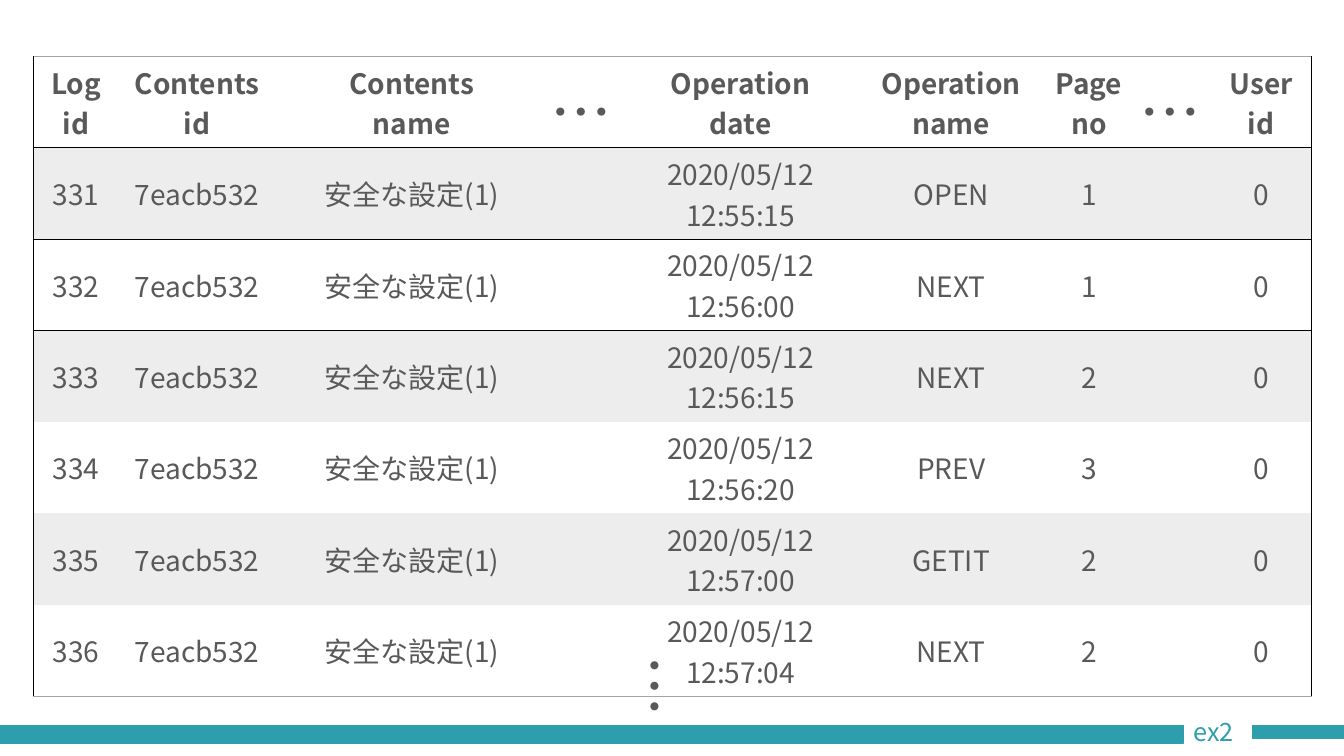
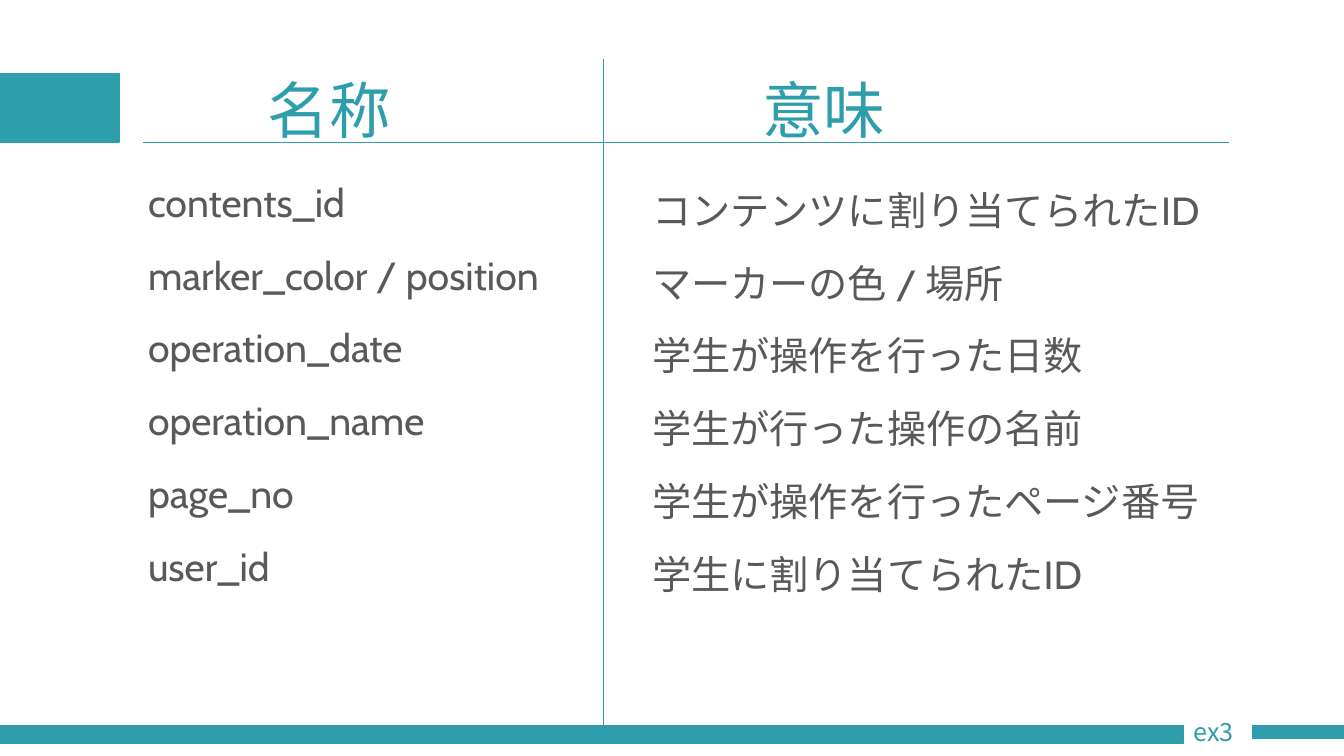
from lxml import etree
from pptx import Presentation
from pptx.dml.color import RGBColor
from pptx.enum.shapes import MSO_CONNECTOR, MSO_SHAPE
from pptx.enum.text import MSO_ANCHOR, MSO_AUTO_SIZE, PP_ALIGN
from pptx.oxml.ns import qn
from pptx.util import Pt

PX = 9144
BLANK_LAYOUT = 6
RECTANGLE = MSO_SHAPE.RECTANGLE
STRAIGHT = MSO_CONNECTOR.STRAIGHT
TOP, MIDDLE = MSO_ANCHOR.TOP, MSO_ANCHOR.MIDDLE
LEFT, CENTER = PP_ALIGN.LEFT, PP_ALIGN.CENTER
GROW, FIXED = MSO_AUTO_SIZE.SHAPE_TO_FIT_TEXT, MSO_AUTO_SIZE.NONE
NO_GRID_STYLE = "{2D5ABB26-0587-4C30-8999-92F81FD0307C}"

COLORS = {
    "accent": "2E9EAC",
    "text": "595959",
    "rule": "000000",
    "edge": "A5A5A5",
    "band": "EDEDED",
}
JAPANESE = "Noto Sans CJK JP"
LATIN = "Cabin"

SLIDE_BOX = (0, 0, 1333, 750)
LOG_BOX = (33, 56, 1268, 630)
LOG_COLUMNS = [85, 155, 271, 71, 239, 179, 94, 74, 100]
LOG_HEADER = ["Log\nid", "Contents\nid", "Contents\nname", "", "Operation\ndate",
              "Operation\nname", "Page\nno", "", "User\nid"]
LOG_EVENTS = [
    ("331", "12:55:15", "OPEN", "1"),
    ("332", "12:56:00", "NEXT", "1"),
    ("333", "12:56:15", "NEXT", "2"),
    ("334", "12:56:20", "PREV", "3"),
    ("335", "12:57:00", "GETIT", "2"),
    ("336", "12:57:04", "NEXT", "2"),
]
ELLIPSES = [((536, 68, 73, 85), 0), ((1120, 68, 87, 84), 0), ((607, 642, 87, 84), 90)]

FIELDS = [
    ("contents_id", "コンテンツに割り当てられたID"),
    ("marker_color / position", "マーカーの色 / 場所"),
    ("operation_date", "学生が操作を行った日数"),
    ("operation_name", "学生が行った操作の名前"),
    ("page_no", "学生が操作を行ったページ番号"),
    ("user_id", "学生に割り当てられたID"),
]


def px(*lengths):
    """Turn px lengths into EMU."""
    return [length * PX for length in lengths]


def rgb(name):
    """Look up a palette colour."""
    return RGBColor.from_string(COLORS[name])


def write(frame, text, size=20, font=JAPANESE, color="text", bold=False,
          align=LEFT, line_spacing=None, space_before=None):
    """Write one formatted paragraph for each line of text."""
    for index, line in enumerate(text.split("\n")):
        paragraph = frame.add_paragraph() if index else frame.paragraphs[0]
        paragraph.alignment = align
        paragraph.line_spacing = line_spacing
        if space_before is not None:
            paragraph.space_before = Pt(space_before)
        run = paragraph.add_run()
        run.text = line
        run.font.size = Pt(size)
        run.font.bold = bold
        run.font.name = font
        run.font.color.rgb = rgb(color)
        east_asian = etree.SubElement(run.font._element, qn("a:ea"))
        east_asian.set("typeface", font)


def add_label(slide, box, text, rotation=0, anchor=TOP, fit=FIXED, **text_format):
    """Place a wrapped text box."""
    label = slide.shapes.add_textbox(*px(*box))
    label.rotation = rotation
    frame = label.text_frame
    frame.word_wrap = True
    frame.vertical_anchor = anchor
    frame.auto_size = fit
    write(frame, text, **text_format)


def add_bar(slide, box):
    """Place a solid accent bar."""
    bar = slide.shapes.add_shape(RECTANGLE, *px(*box))
    bar.shadow.inherit = False
    bar.fill.solid()
    bar.fill.fore_color.rgb = rgb("accent")
    bar.line.color.rgb = rgb("accent")
    bar.line.width = Pt(1)


def add_rule(slide, start, end):
    """Draw a thin accent line."""
    rule = slide.shapes.add_connector(STRAIGHT, *px(*start, *end))
    rule.line.color.rgb = rgb("accent")
    rule.line.width = Pt(0.5)
    etree.SubElement(rule._element.spPr, qn("a:effectLst"))


def add_footer(slide, box, page_label):
    """Place the split footer bar and its page label."""
    left, top, width, height = box
    bar_top = top + height - 30
    label_left, label_width = left + 1174, 68
    label_right = label_left + label_width
    add_bar(slide, (label_right, bar_top, left + width - label_right, 13))
    add_bar(slide, (left, bar_top, label_left - left, 17))
    add_label(slide, (label_left, bar_top - 14, label_width, 40), page_label,
              fit=GROW, size=18, color="accent")


def set_borders(cell, borders):
    """Draw the given cell sides, in the order left, right, top, bottom."""
    properties = cell._tc.get_or_add_tcPr()
    position = 0
    for side in ("lnL", "lnR", "lnT", "lnB"):
        if side in borders:
            border = etree.Element(qn("a:" + side), w=str(Pt(1)))
            fill = etree.SubElement(border, qn("a:solidFill"))
            etree.SubElement(fill, qn("a:srgbClr"), val=COLORS[borders[side]])
            properties.insert(position, border)
            position += 1


def log_borders(row, column, last_row, last_column):
    """Choose the border colours of one log cell."""
    borders = {}
    if column == 0:
        borders["lnL"] = "rule"
    if column == last_column:
        borders["lnR"] = "rule"
    if row == 0:
        borders["lnT"] = "edge"
    if row in (1, 2):
        borders["lnT"] = "rule"
    if row in (0, 1):
        borders["lnB"] = "rule"
    if row == last_row:
        borders["lnB"] = "edge"
    return borders


def add_log_table(slide, box):
    """Place the banded table of logged operations."""
    records = [LOG_HEADER] + [
        [log_id, "7eacb532", "安全な設定(1)", "", f"2020/05/12 {time}", operation, page, "", "0"]
        for log_id, time, operation, page in LOG_EVENTS
    ]
    holder = slide.shapes.add_table(len(records), len(LOG_COLUMNS), *px(*box))
    log = holder.table
    log.first_row = log.horz_banding = False
    for style in holder._element.iter(qn("a:tableStyleId")):
        style.text = NO_GRID_STYLE
    for column, width in zip(log.columns, LOG_COLUMNS):
        column.width = width * PX
    for row, record in enumerate(records):
        log.rows[row].height = box[3] // len(records) * PX
        for column, value in enumerate(record):
            cell = log.cell(row, column)
            cell.vertical_anchor = MIDDLE if row else TOP
            if row % 2:
                cell.fill.solid()
                cell.fill.fore_color.rgb = rgb("band")
            else:
                cell.fill.background()
            if value:
                write(cell.text_frame, value, bold=row == 0, align=CENTER)
            set_borders(cell, log_borders(row, column, len(records) - 1, len(record) - 1))


def build_log_slide(slide, box):
    """Show the operation log with its omitted parts."""
    add_log_table(slide, LOG_BOX)
    for ellipsis_box, rotation in ELLIPSES:
        add_label(slide, ellipsis_box, "…", rotation=rotation, fit=GROW, size=44)
    add_footer(slide, box, "ex2")


def build_fields_slide(slide, box):
    """Show each field name beside its meaning."""
    left, top, _, height = box
    divider, underline = left + 598, top + 141
    for heading_left, heading in ((256, "名称"), (746, "意味")):
        add_label(slide, (left + heading_left, top + 40, 300, 145), heading,
                  anchor=MIDDLE, size=44, color="accent", line_spacing=0.9)
    add_bar(slide, (left, top + 73, 118, 68))
    add_rule(slide, (left + 142, underline), (left + 1219, underline))
    add_rule(slide, (divider, top + 59), (divider, top + height - 30))
    names, meanings = zip(*FIELDS)
    for list_box, entries in (((137, 160, 440, 541), names),
                              ((637, 168, 640, 541), meanings)):
        list_left, list_top, *size = list_box
        add_label(slide, (left + list_left, top + list_top, *size), "\n".join(entries),
                  size=28, font=LATIN, line_spacing=1.25, space_before=10)
    add_footer(slide, box, "ex3")


def main():
    """Build and save the presentation."""
    deck = Presentation()
    deck.slide_width, deck.slide_height = px(*SLIDE_BOX[2:])
    for build in (build_log_slide, build_fields_slide):
        build(deck.slides.add_slide(deck.slide_layouts[BLANK_LAYOUT]), SLIDE_BOX)
    deck.save("out.pptx")


if __name__ == "__main__":
    main()
